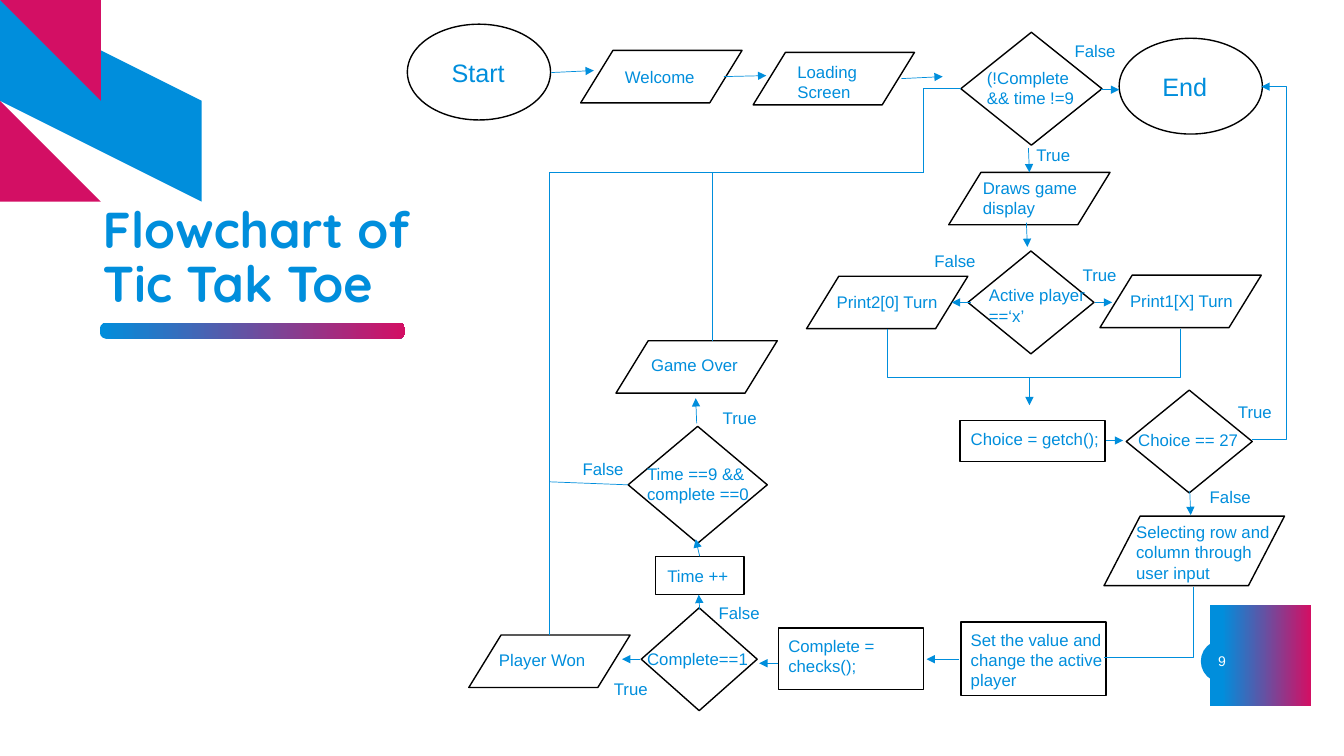
from lxml.etree import SubElement
from pptx import Presentation
from pptx.dml.color import RGBColor
from pptx.enum.shapes import MSO_CONNECTOR, MSO_SHAPE
from pptx.enum.text import MSO_ANCHOR, PP_ALIGN
from pptx.oxml.ns import qn
from pptx.util import Inches, Pt

BLUE = RGBColor(0x00, 0x8E, 0xDC)
PINK = RGBColor(0xD3, 0x0F, 0x64)
WHITE = RGBColor(0xFF, 0xFF, 0xFF)
BLACK = RGBColor(0x00, 0x00, 0x00)

presentation = Presentation()
presentation.slide_width = Inches(13.33)
presentation.slide_height = Inches(7.5)
slide = presentation.slides.add_slide(presentation.slide_layouts[6])
shapes = slide.shapes


def add_curved(start, segments):
    points = [start]
    for segment in segments:
        if len(segment) == 2:
            points.append(segment)
            continue
        corners = (points[-1], *segment)
        for step in range(1, 13):
            t = step / 12
            weights = ((1 - t) ** 3, 3 * t * (1 - t) ** 2, 3 * t * t * (1 - t), t ** 3)
            points.append(tuple(sum(w * c[axis] for w, c in zip(weights, corners)) for axis in (0, 1)))
    builder = shapes.build_freeform(*start, scale=Inches(1))
    builder.add_line_segments(points[1:], close=True)
    shape = builder.convert_to_shape()
    shape.shadow.inherit = False
    shape.line.fill.background()
    return shape


def add_text(text, left, top, width, height, size, font="Arial", color=BLUE):
    box = shapes.add_textbox(Inches(left), Inches(top), Inches(width), Inches(height))
    box.text_frame.word_wrap = True
    box.text_frame.text = text
    paragraph = box.text_frame.paragraphs[0]
    paragraph.font.size = Pt(size)
    paragraph.font.name = font
    paragraph.font.color.rgb = color
    return box


page_circle = shapes.add_shape(MSO_SHAPE.OVAL, Inches(11.91), Inches(6.35), Inches(0.42), Inches(0.42))
page_circle.shadow.inherit = False
page_circle.fill.solid()
page_circle.fill.fore_color.rgb = BLUE
page_circle.line.fill.background()

page_tab = add_curved((12.62, 6.77), [
    (13.33, 6.77), (13.33, 6.34), (12.62, 6.34),
    ((12.62, 6.34), (12.41, 6.34), (12.41, 6.55)),
    ((12.41, 6.56), (12.41, 6.77), (12.62, 6.77))])

ornaments = [
    (BLUE, (0, 0.38), [
        (2.12, 1.41),
        ((2.12, 1.41), (2.21, 1.46), (2.27, 1.53)),
        ((2.36, 1.64), (2.37, 1.75), (2.31, 1.88)),
        ((2.3, 1.9), (2.15, 2.19), (1.81, 2.03)),
        (0, 1.15)]),
    (PINK, (0, 0), [
        (1.58, 0),
        ((1.6, 0.15), (1.58, 0.33), (1.47, 0.53)),
        ((1.46, 0.56), (1.36, 0.76), (1.17, 0.9)),
        (0, 0.34)]),
    (PINK, (0, 1.29), [
        (1.05, 1.8),
        ((1.06, 1.8), (1.17, 1.86), (1.12, 1.97)),
        ((1.11, 1.98), (1.06, 2.08), (0.94, 2.02)),
        (0, 1.56)]),
]
for color, start, segments in ornaments:
    ornament = add_curved(start, segments)
    ornament.fill.solid()
    ornament.fill.fore_color.rgb = color

title_bar = shapes.add_shape(MSO_SHAPE.ROUNDED_RECTANGLE, Inches(0.99), Inches(3.2), Inches(3.03), Inches(0.16))
title_bar.shadow.inherit = False
title_bar.adjustments[0] = 0.4
title_bar.line.fill.background()

for shape, first_position in ((page_tab, 0.12), (title_bar, 0)):
    shape.fill.gradient()
    shape.fill.gradient_angle = 0
    for stop, color, position in zip(shape.fill.gradient_stops, (BLUE, PINK), (first_position, 1)):
        stop.color.rgb = color
        stop.position = position

title = add_text("Flowchart of\vTic Tak Toe", 0.92, 1.98, 3.55, 1.25, 36, "Quicksand")
title.text_frame.paragraphs[0].font.bold = True
title.text_frame.paragraphs[0].line_spacing = 0.9

nodes = {
    MSO_SHAPE.OVAL: [(4.04, 0.24, 1.42, 0.95), (11.1, 0.38, 1.42, 0.95)],
    MSO_SHAPE.FLOWCHART_DATA: [
        *((left, top, 1.6, 0.52) for left, top in (
            (5.76, 0.5), (7.47, 0.52), (9.41, 1.71), (8, 2.74), (10.91, 2.73), (4.65, 6.3), (6.11, 3.38))),
        (10.95, 5.12, 1.79, 0.69)],
    MSO_SHAPE.FLOWCHART_DECISION: [
        (9.53, 0.32, 1.4, 1.12), (9.6, 2.49, 1.25, 1.02), (11.17, 3.87, 1.25, 1.02),
        (6.36, 6.03, 1.15, 1.02), (6.23, 4.23, 1.38, 1.16)],
    MSO_SHAPE.FLOWCHART_PROCESS: [
        (6.5, 5.52, 0.88, 0.38), (9.52, 4.17, 1.44, 0.41), (9.53, 6.17, 1.44, 0.73), (7.72, 6.23, 1.44, 0.61)],
}
for kind, boxes in nodes.items():
    for box in boxes:
        node = shapes.add_shape(kind, *map(Inches, box))
        node.shadow.inherit = False
        node.line.color.rgb = BLACK
        node.line.width = Pt(1)
        if kind == MSO_SHAPE.FLOWCHART_DECISION:
            node.fill.solid()
            node.fill.fore_color.rgb = WHITE
        else:
            node.fill.background()

arrows = [
    (5.47, 0.72, 5.89, 0.7), (7.18, 0.76, 7.6, 0.75), (8.94, 0.78, 9.35, 0.76),
    (10.92, 0.89, 11.1, 0.89), (10.2, 1.47, 10.21, 1.71), (10.18, 2.21, 10.19, 2.45),
    (10.86, 3, 11.03, 3), (9.63, 3, 9.44, 3), (10.21, 3.74, 10.21, 4.02),
    (10.97, 4.37, 11.14, 4.37), (11.8, 4.87, 11.81, 5.11), (9.51, 6.54, 9.19, 6.54),
    (7.72, 6.58, 7.53, 6.58), (6.35, 6.54, 6.17, 6.54), (6.94, 6.05, 6.93, 5.9),
    (6.94, 5.52, 6.9, 5.35), (6.91, 4.2, 6.9, 3.95),
]
elbows = [
    (8.8, 3.26, 10.23, 3.74), (11.71, 3.26, 10.23, 3.74), (11.84, 5.82, 10.95, 6.52),
    (7.07, 3.38, 9.16, 1.71), (9.16, 1.71, 9.53, 0.88), (5.45, 6.3, 7.07, 1.71),
]
routes = [(ends, None, True) for ends in arrows]
routes += [(ends, 0, False) for ends in elbows]
routes += [((12.42, 4.36, 12.51, 0.86), 3.78, True), ((6.23, 4.81, 5.45, 4.78), None, False)]
for ends, bend, has_arrow in routes:
    kind = MSO_CONNECTOR.STRAIGHT if bend is None else MSO_CONNECTOR.ELBOW
    connector = shapes.add_connector(kind, *map(Inches, ends))
    connector.line.color.rgb = BLUE
    connector.line.width = Pt(0.5)
    properties = connector._element.spPr
    SubElement(properties, qn("a:effectLst"))
    if has_arrow:
        SubElement(properties.find(qn("a:ln")), qn("a:tailEnd"), type="triangle")
    if bend is not None:
        adjustments = properties.find(qn("a:prstGeom")).find(qn("a:avLst"))
        SubElement(adjustments, qn("a:gd"), name="adj1", fmla=f"val {round(bend * 100000)}")

add_text("Start", 4.38, 0.52, 0.92, 0.4, 18)
add_text("End", 11.43, 0.66, 0.92, 0.4, 18)

labels = [
    ("Welcome", 6.1, 0.61, 0.92, 1),
    ("Loading Screen", 7.81, 0.56, 1.24, 2),
    ("(!Complete && time !=9", 9.69, 0.62, 1.16, 2),
    ("Draws game display", 9.65, 1.71, 1.26, 2),
    ("Print2[0] Turn", 8.2, 2.85, 1.26, 1),
    ("Print1[X] Turn", 11.11, 2.84, 1.26, 1),
    ("Active player ==‘x’", 9.71, 2.78, 1.17, 2),
    ("Choice = getch();", 9.53, 4.2, 1.64, 1),
    ("Choice == 27", 11.19, 4.21, 1.35, 1),
    ("Selecting row and column through user input", 11.17, 5.13, 1.64, 3),
    ("Set the value and change the active player", 9.53, 6.2, 1.64, 3),
    ("Complete = checks();", 7.72, 6.26, 1.44, 2),
    ("Complete==1", 6.32, 6.39, 1.31, 1),
    ("Player Won", 4.85, 6.4, 1.26, 1),
    ("Time ++", 6.52, 5.56, 0.85, 1),
    ("Time ==9 && complete ==0", 6.32, 4.55, 1.26, 2),
    ("Game Over", 6.36, 3.47, 1.26, 1),
]
branches = {
    "True": [(7.07, 4), (5.99, 6.68), (12.18, 3.94), (10.64, 2.58), (10.18, 1.39)],
    "False": [(7.03, 5.93), (11.9, 4.78), (9.17, 2.44), (10.56, 0.36), (5.68, 4.5)],
}
labels += [(answer, left, top, 1.1, 1) for answer, places in branches.items() for left, top in places]
for text, left, top, width, lines in labels:
    add_text(text, left, top, width, 0.1 + 0.2 * lines, 12)

page_number = add_text("9", 11.82, 6.36, 0.6, 0.4, 10, color=WHITE)
page_number.text_frame.vertical_anchor = MSO_ANCHOR.MIDDLE
page_number.text_frame.paragraphs[0].alignment = PP_ALIGN.CENTER

presentation.save("out.pptx")
